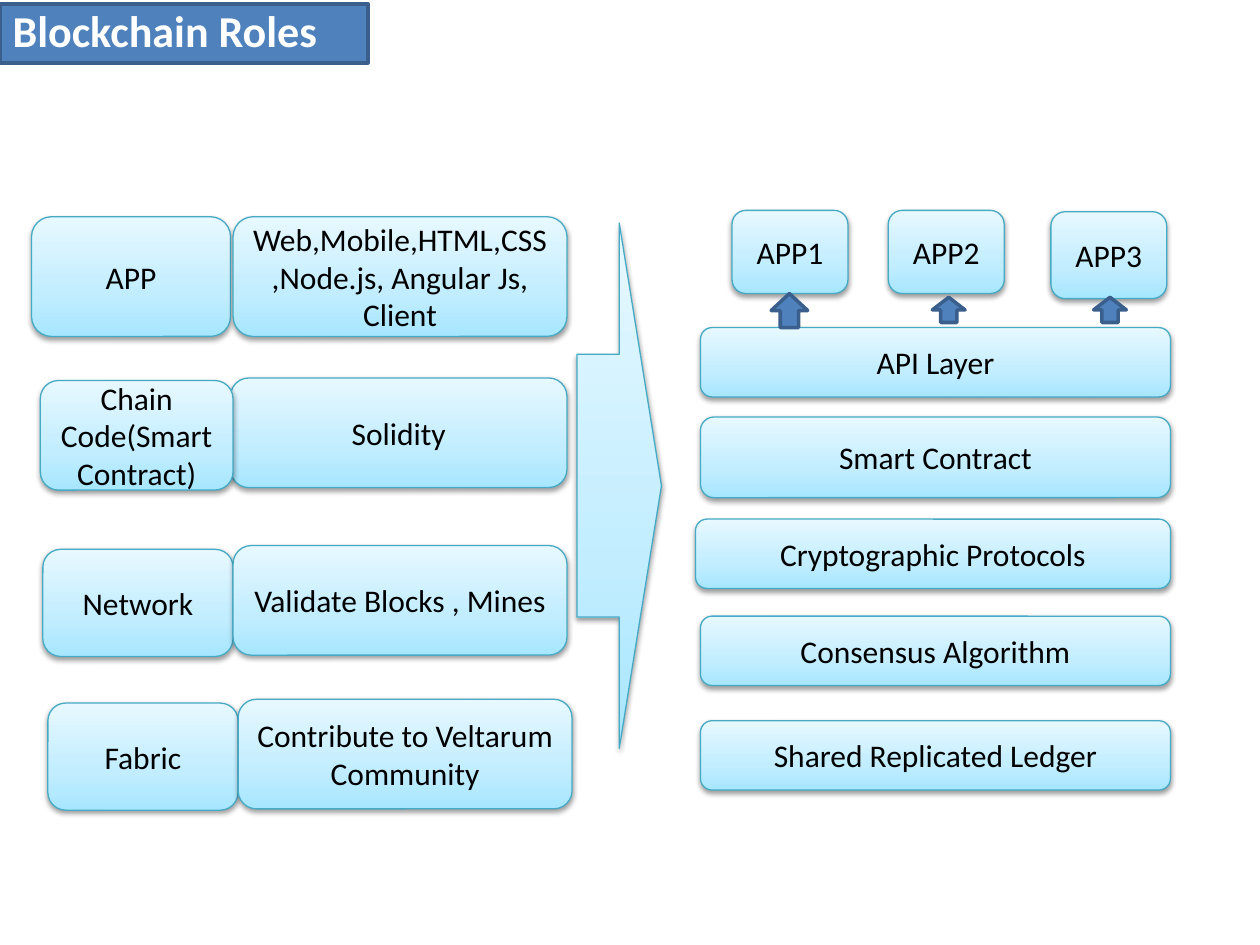
from copy import deepcopy

from pptx import Presentation
from pptx.dml.color import RGBColor
from pptx.enum.shapes import MSO_SHAPE as Shape
from pptx.enum.text import MSO_ANCHOR as Anchor, PP_ALIGN as Align, MSO_AUTO_SIZE as AutoSize
from pptx.oxml import parse_xml
from pptx.oxml.ns import nsdecls, qn
from pptx.util import Inches, Pt

FONT = "Calibri"
BLUE, NAVY, TEAL, BLACK, WHITE = "4F81BD", "3A5F8C", "46AAC5", "000000", "FFFFFF"
ICE_STOPS = [(0, "A7E6FF"), (0.35, "C1EDFF"), (1, "E7F8FF")]

TITLE = "Blockchain Roles"
TITLE_BOX = (0, 0.03, 2.92, 0.47)

ROLES = [
    ("APP", (0.25, 1.72, 1.58, 0.95)),
    ("Web,Mobile,HTML,CSS,Node.js, Angular Js, Client", (1.85, 1.72, 2.65, 0.95)),
    ("Solidity", (1.83, 3, 2.67, 0.87)),
    ("Chain Code(Smart Contract)", (0.32, 3.02, 1.53, 0.87)),
    ("Network", (0.34, 4.36, 1.51, 0.85)),
    ("Validate Blocks , Mines", (1.85, 4.33, 2.65, 0.87)),
    ("Fabric", (0.38, 5.58, 1.51, 0.85)),
    ("Contribute to Veltarum Community", (1.89, 5.55, 2.65, 0.87)),
]
FLOW_ARROW = (4.58, 1.77, 0.67, 4.17)

LAYER_RIGHT = 9.29
LAYERS = [
    ("API Layer", 5.56, 2.6, 0.55),
    ("Smart Contract", 5.56, 3.31, 0.64),
    ("Cryptographic Protocols", 5.52, 4.12, 0.55),
    ("Consensus Algorithm", 5.56, 4.89, 0.55),
    ("Shared Replicated Ledger", 5.56, 5.72, 0.55),
]

APP_WIDTH = 0.92
APPS = [
    ("APP1", 5.81, 1.67, 0.66, (6.12, 2.33, 0.29, 0.27)),
    ("APP2", 7.05, 1.67, 0.66, (7.4, 2.36, 0.26, 0.2)),
    ("APP3", 8.34, 1.68, 0.69, (8.68, 2.36, 0.26, 0.2)),
]


def rgb(color):
    return RGBColor.from_string(color)


def outline(shape, color, width):
    shape.line.color.rgb = rgb(color)
    shape.line.width = Pt(width)


def paint_blue(shape):
    shape.fill.solid()
    shape.fill.fore_color.rgb = rgb(BLUE)
    outline(shape, NAVY, 2)


def write(shape, text, size, color, align, anchor, bold=False):
    frame = shape.text_frame
    frame.text = text
    frame.word_wrap = True
    frame.auto_size = AutoSize.NONE
    frame.vertical_anchor = anchor
    paragraph = frame.paragraphs[0]
    paragraph.alignment = align
    font = paragraph.runs[0].font
    font.name, font.size, font.bold = FONT, Pt(size), bold
    font.color.rgb = rgb(color)


def add_shape(slide, preset, box):
    shape = slide.shapes.add_shape(preset, *map(Inches, box))
    shape.shadow.inherit = False
    return shape


def add_ice(slide, preset, box):
    shape = add_shape(slide, preset, box)
    shape.fill.gradient()
    shape.fill.gradient_angle = 90
    properties = shape._element.spPr
    stop_list = properties.find(qn("a:gradFill")).find(qn("a:gsLst"))
    stop_list.append(deepcopy(stop_list[-1]))
    for stop, (position, color) in zip(shape.fill.gradient_stops, ICE_STOPS):
        stop.position = position
        stop.color.rgb = rgb(color)
    outline(shape, TEAL, 0.75)
    properties.find(qn("a:effectLst")).append(parse_xml(
        f'<a:outerShdw {nsdecls("a")} blurRad="{Pt(3.1)}" dist="{Pt(1.6)}" dir="5400000" '
        f'rotWithShape="0"><a:srgbClr val="{BLACK}"><a:alpha val="38000"/></a:srgbClr></a:outerShdw>'))
    return shape


def add_box(slide, text, box):
    write(add_ice(slide, Shape.ROUNDED_RECTANGLE, box), text, 18, BLACK, Align.CENTER, Anchor.MIDDLE)


def main():
    """Build the blockchain roles slide."""
    deck = Presentation()
    deck.slide_width, deck.slide_height = Inches(10), Inches(7.5)
    slide = deck.slides.add_slide(deck.slide_layouts[5])

    title = slide.shapes.title
    title.left, title.top, title.width, title.height = map(Inches, TITLE_BOX)
    paint_blue(title)
    write(title, TITLE, 25.2, WHITE, Align.LEFT, Anchor.BOTTOM, bold=True)

    for text, box in ROLES:
        add_box(slide, text, box)
    add_ice(slide, Shape.RIGHT_ARROW, FLOW_ARROW)
    for text, left, top, height in LAYERS:
        add_box(slide, text, (left, top, LAYER_RIGHT - left, height))
    for text, left, top, height, arrow_box in APPS:
        add_box(slide, text, (left, top, APP_WIDTH, height))
        paint_blue(add_shape(slide, Shape.UP_ARROW, arrow_box))

    deck.save("out.pptx")


if __name__ == "__main__":
    main()
